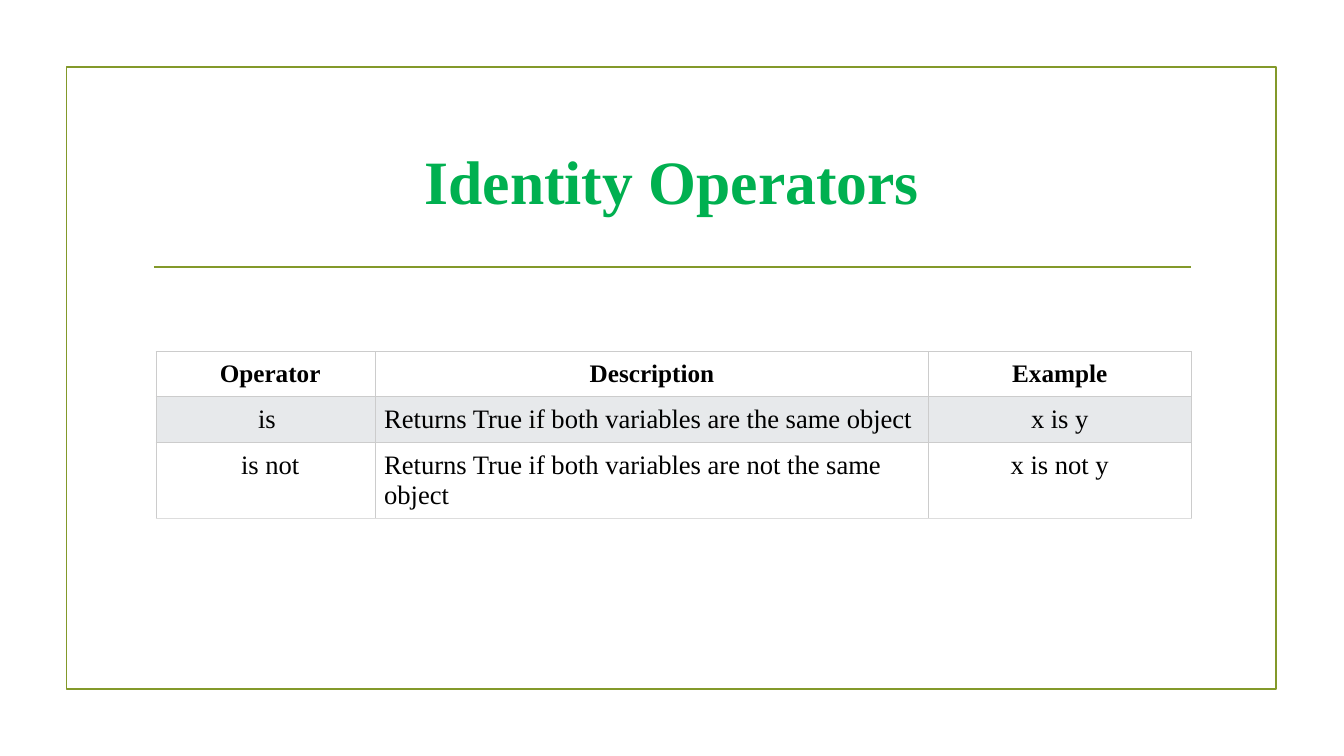
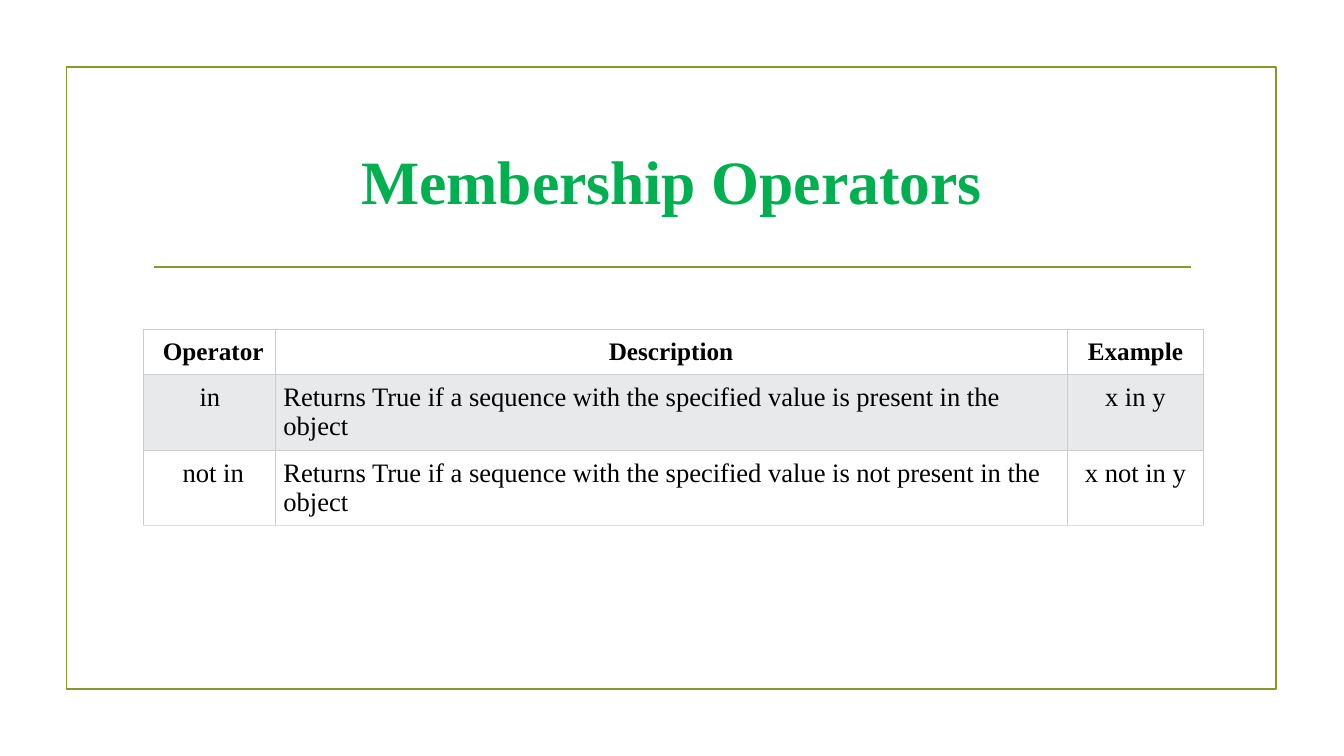
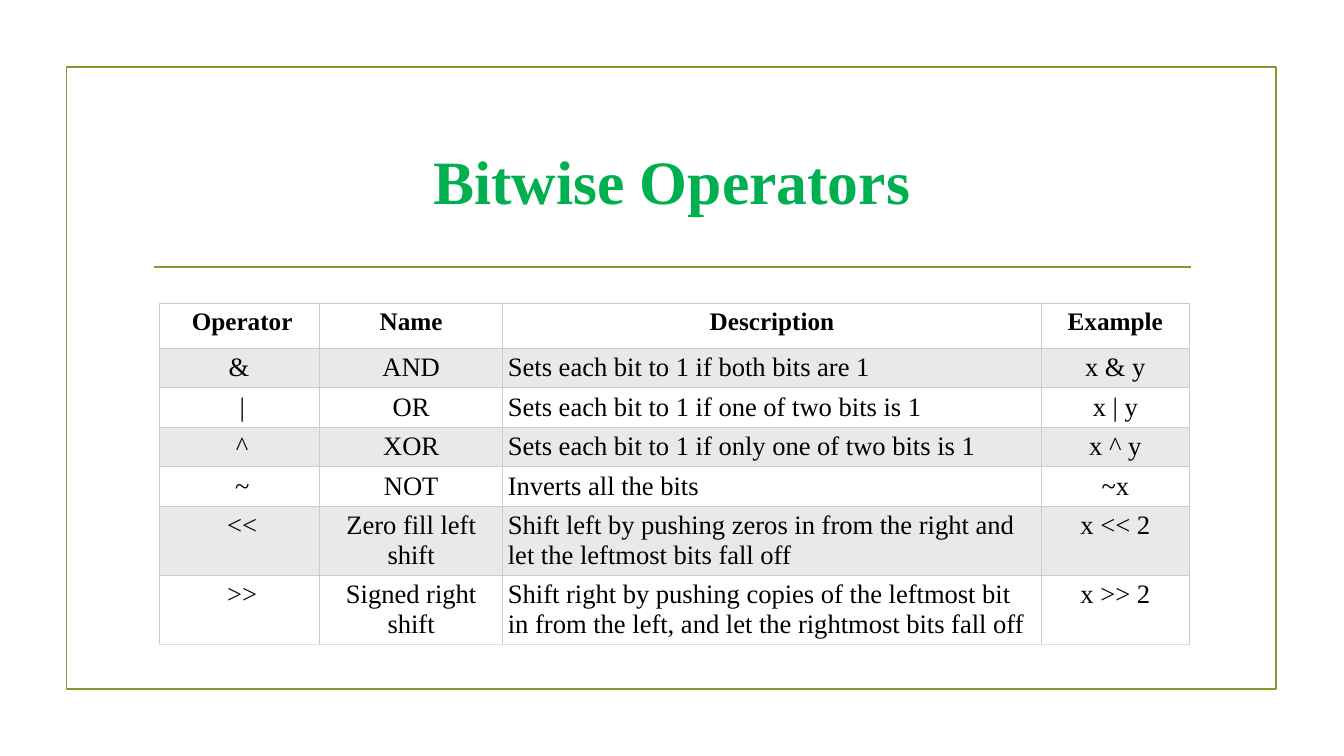
from dataclasses import dataclass

from lxml.etree import SubElement
from pptx import Presentation
from pptx.dml.color import RGBColor
from pptx.enum.shapes import MSO_CONNECTOR, MSO_SHAPE
from pptx.enum.text import MSO_ANCHOR, MSO_AUTO_SIZE, PP_ALIGN
from pptx.oxml.ns import qn
from pptx.slide import Slide
from pptx.table import _Cell
from pptx.text.text import _Paragraph
from pptx.util import Pt

OLIVE = RGBColor(0x83, 0x99, 0x2A)
GREEN = RGBColor(0x00, 0xB0, 0x50)
BLACK = RGBColor(0x00, 0x00, 0x00)
WHITE = RGBColor(0xFF, 0xFF, 0xFF)
BAND_GREY = RGBColor(0xE7, 0xE9, 0xEB)
GRID_GREY = RGBColor(0xCC, 0xCC, 0xCC)
BOTTOM_GREY = RGBColor(0xDD, 0xDD, 0xDD)

FONT = "Times New Roman"
TITLE_FONT = {"name": FONT, "size": Pt(44), "bold": True}
HEADER_FONT = {"name": FONT, "size": Pt(18), "bold": True}
BODY_FONT = {"name": FONT, "size": Pt(19), "bold": False}
RULE_WIDTH = Pt(1.25)
GRID_WIDTH = Pt(0.75)


@dataclass(frozen=True)
class OperatorSlide:
    """Table lengths are in points; the first column's left inset is doubled."""
    title: str
    left: float
    top: float
    column_widths: tuple[float, ...]
    header_height: float
    body_height: float
    inset: float
    rows: tuple[tuple[str, ...], ...]


OPERATOR_SLIDES = (
    OperatorSlide(
        "Identity Operators", 111.5, 251.2, (157, 394.5, 188), 18, 18, 6,
        (
            ("Operator", "Description", "Example"),
            ("is ", "Returns True if both variables are the same object", "x is y"),
            ("is not", "Returns True if both variables are not the same object", "x is not y"),
        ),
    ),
    OperatorSlide(
        "Membership Operators", 102.2, 235.5, (94.3, 565.7, 97.7), 18, 18, 6,
        (
            ("Operator", "Description", "Example"),
            ("in ", "Returns True if a sequence with the specified value is present in the object",
             "x in y"),
            ("not in", "Returns True if a sequence with the specified value is not present in the object",
             "x not in y"),
        ),
    ),
    OperatorSlide(
        "Bitwise Operators", 114.2, 216.7, (114, 131, 384.5, 106), 32, 21, 3.6,
        (
            ("Operator", "Name", "Description", "Example"),
            ("& ", "AND", "Sets each bit to 1 if both bits are 1", "x & y"),
            ("|", "OR", "Sets each bit to 1 if one of two bits is 1", "x | y"),
            ("^", "XOR", "Sets each bit to 1 if only one of two bits is 1", "x ^ y"),
            ("~", "NOT", "Inverts all the bits", "~x"),
            ("<<", "Zero fill left shift",
             "Shift left by pushing zeros in from the right and let the leftmost bits fall off",
             "x << 2"),
            (">>", "Signed right shift",
             "Shift right by pushing copies of the leftmost bit in from the left, "
             "and let the rightmost bits fall off",
             "x >> 2"),
        ),
    ),
)


def write_text(paragraph: _Paragraph, text: str, font_values: dict, color: RGBColor,
               alignment: PP_ALIGN) -> None:
    paragraph.alignment = alignment
    run = paragraph.add_run()
    run.text = text
    for attribute, value in font_values.items():
        setattr(run.font, attribute, value)
    run.font.color.rgb = color


def draw_frame(slide: Slide) -> None:
    """Draw the border and the rule under the title."""
    border = slide.shapes.add_shape(MSO_SHAPE.RECTANGLE, Pt(47.6), Pt(48), Pt(864), Pt(444))
    border.shadow.inherit = False
    border.fill.background()
    rule = slide.shapes.add_connector(MSO_CONNECTOR.STRAIGHT, Pt(110), Pt(190.8), Pt(850.5), Pt(190.8))
    for outlined in (border, rule):
        outlined.line.color.rgb = OLIVE
        outlined.line.width = RULE_WIDTH
    SubElement(rule._element.spPr, qn("a:effectLst"))


def set_title(slide: Slide, text: str) -> None:
    title = slide.shapes.title
    place = {"left": Pt(102), "top": Pt(77), "width": Pt(756), "height": Pt(103)}
    for attribute, value in place.items():
        setattr(title, attribute, value)
    frame = title.text_frame
    frame.auto_size = MSO_AUTO_SIZE.NONE
    frame.vertical_anchor = MSO_ANCHOR.MIDDLE
    write_text(frame.paragraphs[0], text, TITLE_FONT, GREEN, PP_ALIGN.CENTER)


def set_borders(cell: _Cell, bottom: RGBColor) -> None:
    """Add the four cell borders; call this before the cell is filled."""
    properties = cell._tc.get_or_add_tcPr()
    for side in "LRTB":
        border = SubElement(properties, qn(f"a:ln{side}"), w=str(GRID_WIDTH))
        fill = SubElement(border, qn("a:solidFill"))
        SubElement(fill, qn("a:srgbClr"), val=str(bottom if side == "B" else GRID_GREY))


def draw_table(slide: Slide, content: OperatorSlide) -> None:
    row_count, column_count = len(content.rows), len(content.column_widths)
    heights = [content.header_height] + [content.body_height] * (row_count - 1)
    table = slide.shapes.add_table(
        row_count, column_count, Pt(content.left), Pt(content.top),
        Pt(sum(content.column_widths)), Pt(sum(heights))).table
    table.first_row = table.horz_banding = False
    for column, width in zip(table.columns, content.column_widths):
        column.width = Pt(width)

    description_column = content.rows[0].index("Description")
    for r, (texts, height) in enumerate(zip(content.rows, heights)):
        table.rows[r].height = Pt(height)
        is_header = r == 0
        for c, text in enumerate(texts):
            cell = table.cell(r, c)
            set_borders(cell, BOTTOM_GREY if r == row_count - 1 else GRID_GREY)
            cell.fill.solid()
            cell.fill.fore_color.rgb = BAND_GREY if r % 2 else WHITE
            for side in ("left", "top", "right", "bottom"):
                setattr(cell, f"margin_{side}", Pt(content.inset))
            if c == 0:
                cell.margin_left = Pt(2 * content.inset)
            is_prose = c == description_column and not is_header
            write_text(cell.text_frame.paragraphs[0], text,
                       HEADER_FONT if is_header else BODY_FONT, BLACK,
                       PP_ALIGN.LEFT if is_prose else PP_ALIGN.CENTER)


def main() -> None:
    presentation = Presentation()
    presentation.slide_width, presentation.slide_height = Pt(960), Pt(540)
    title_only = presentation.slide_layouts[5]
    for content in OPERATOR_SLIDES:
        slide = presentation.slides.add_slide(title_only)
        draw_frame(slide)
        set_title(slide, content.title)
        draw_table(slide, content)
    presentation.save("out.pptx")


if __name__ == "__main__":
    main()
